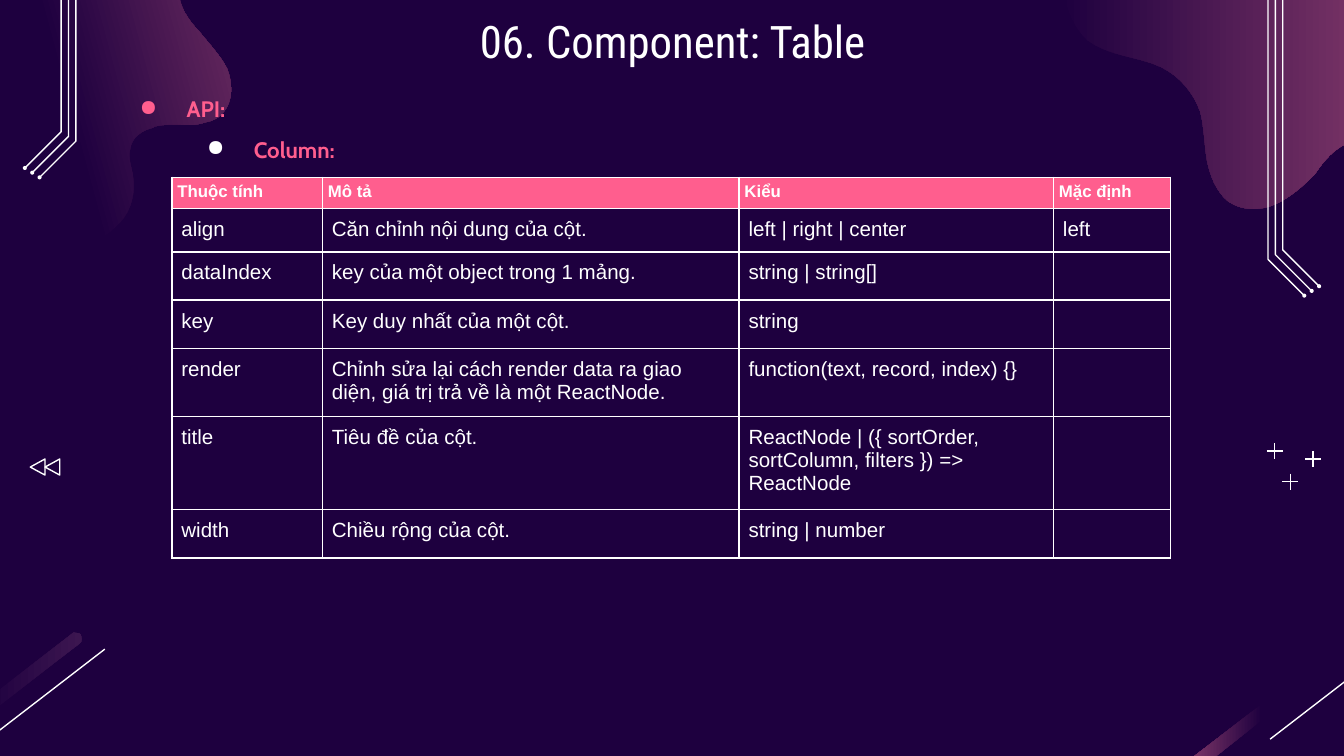
from lxml.etree import SubElement
from pptx import Presentation
from pptx.dml.color import RGBColor
from pptx.enum.shapes import MSO_CONNECTOR, MSO_SHAPE
from pptx.enum.text import MSO_ANCHOR, PP_ALIGN
from pptx.oxml.ns import qn
from pptx.util import Inches, Pt

WHITE, PINK, NIGHT, PLUM = "FFFFFF", "FF5E8E", "1E003F", "A64D79"
COLUMNS = 1000
LEFT_BLOB = [
    (48, 190), (74, 183), (86, 169), (90, 165), (98, 156), (101, 143), (99, 131),
    (98, 124), (95, 117), (97, 111), (98, 102), (106, 97), (114, 95),
    (115, 94), (115, 94), (116, 94), (124, 92), (133, 93), (142, 93),
    (146, 93), (150, 92), (153, 91), (158, 90), (163, 88), (166, 84),
    (174, 75), (173, 61), (169, 51), (164, 41), (155, 32), (148, 23),
    (140, 15), (133, 4), (133, -7), (133, -16), (136, -25), (143, -31),
    (147, -35), (153, -38), (159, -39), (168, -42), (179, -42), (190, -41),
    (201, -41), (212, -40), (223, -42), (225, -43), (226, -43), (228, -43),
    (237, -46), (246, -51), (252, -58), (259, -66), (261, -78), (258, -87),
    (256, -105), (244, -125), (233, -134), (215, -150), (190, -155), (167, -151),
    (166, -150), (165, -150), (164, -150), (129, -140), (103, -110), (70, -95),
    (65, -93), (59, -91), (54, -90), (22, -81), (-13, -85), (-47, -82),
    (-62, -81), (-77, -78), (-91, -74), (-104, -71), (-116, -67), (-128, -61),
    (-145, -54), (-162, -44), (-174, -30), (-186, -17), (-195, 2), (-194, 22),
    (-193, 46), (-176, 68), (-156, 80), (-135, 93), (-112, 97), (-88, 99),
    (-74, 101), (-60, 101), (-46, 106), (-32, 110), (-19, 119), (-13, 133),
    (-8, 144), (-8, 155), (-3, 166), (6, 184), (29, 195), (47, 190)]
RIGHT_BLOB = [
    (1125, 38), (1125, 13), (1118, -13), (1105, -35), (1094, -54), (1078, -70), (1058, -77),
    (1036, -85), (1012, -81), (989, -84), (967, -87), (945, -97), (929, -113),
    (918, -123), (909, -135), (897, -141), (883, -148), (867, -146), (852, -143),
    (840, -140), (828, -136), (819, -129), (803, -117), (796, -97), (793, -78),
    (790, -65), (789, -51), (789, -38), (789, -31), (789, -24), (790, -18),
    (791, 0), (796, 18), (809, 30), (825, 42), (847, 42), (864, 50),
    (878, 57), (888, 69), (893, 83), (896, 94), (896, 107), (898, 119),
    (900, 130), (905, 143), (914, 150), (924, 157), (938, 157), (949, 152),
    (960, 147), (969, 139), (978, 130), (983, 123), (988, 116), (995, 111),
    (1002, 106), (1010, 103), (1018, 106), (1033, 110), (1038, 130), (1052, 138),
    (1085, 157), (1108, 112), (1117, 88), (1122, 72), (1125, 55), (1125, 38)]
BAR = [(56, 471), (57, 471), (59, 471), (60, 472), (61, 475), (61, 478), (59, 479),
       (12, 515), (-34, 552), (-81, 588), (-84, 589), (-87, 589), (-88, 587),
       (-90, 585), (-90, 582), (-87, 580), (-40, 544), (6, 508), (53, 472),
       (54, 471), (55, 470), (56, 471)]
ROWS = [
    ("Thuộc tính", "Mô tả", "Kiểu", "Mặc định"),
    ("align", "Căn chỉnh nội dung của cột.", "left | right | center", "left"),
    ("dataIndex", "key của một object trong 1 mảng.", "string | string[]", ""),
    ("key", "Key duy nhất của một cột.", "string", ""),
    ("render", "Chỉnh sửa lại cách render data ra giao diện, giá trị trả về là một ReactNode.",
     "function(text, record, index) {}", ""),
    ("title", "Tiêu đề của cột.", "ReactNode | ({ sortOrder, sortColumn, filters }) => ReactNode", ""),
    ("width", "Chiều rộng của cột.", "string | number", "")]
COL_WIDTHS = (112, 310, 234, 87)
ROW_HEIGHTS = (22, 31, 36, 36, 48, 65, 36)


def grid(*cells):
    """Turn grid steps, a thousandth of the slide width each, into lengths."""
    return [round(Inches(10) * n / COLUMNS) for n in cells]


def color(hex_text):
    """Return the colour for a hex string."""
    return RGBColor.from_string(hex_text)


def add_run(p, text, size, font, hex_text, bold=False):
    """Add one formatted run to a paragraph."""
    r = p.add_run()
    r.text = text
    r.font.size, r.font.name, r.font.bold = Pt(size), font, bold
    r.font.color.rgb = color(hex_text)


def add_textbox(s, *box):
    """Add a wrapping text box and return its text frame."""
    tf = s.shapes.add_textbox(*grid(*box)).text_frame
    tf.word_wrap = True
    tf.margin_left = tf.margin_right = tf.margin_top = tf.margin_bottom = Inches(0.1)
    return tf


def add_bullet(p, text, level, bullet_hex):
    """Fill a paragraph as a bulleted heading of the given level."""
    pPr = p._p.get_or_add_pPr()
    pPr.set("marL", str(Inches(0.5 * (level + 1))))
    pPr.set("indent", str(Inches(-0.35)))
    SubElement(SubElement(pPr, qn("a:buClr")), qn("a:srgbClr"), val=bullet_hex)
    SubElement(pPr, qn("a:buChar"), char="●")
    p.level, p.line_spacing = level, 1.5
    add_run(p, text, 12, "Cabin", PINK, True)


def add_line(s, x1, y1, x2, y2):
    """Draw a thin white line."""
    line = s.shapes.add_connector(MSO_CONNECTOR.STRAIGHT, *grid(x1, y1, x2, y2))
    line.line.color.rgb, line.line.width = color(WHITE), Pt(0.75)
    SubElement(line._element.spPr, qn("a:effectLst"))


def outline(shape):
    """Leave a shape unfilled with a thin white line."""
    shape.shadow.inherit = False
    shape.fill.background()
    shape.line.color.rgb, shape.line.width = color(WHITE), Pt(0.75)


def add_path(s, points, close):
    """Draw straight segments through grid points."""
    builder = s.shapes.build_freeform(*grid(*points[0]))
    builder.add_line_segments([grid(*pt) for pt in points[1:]], close=close)
    return builder.convert_to_shape()


def bezier(knots, steps=8):
    """Sample a chain of cubic curves."""
    points = [knots[0]]
    for i in range(0, len(knots) - 1, 3):
        for t in (n / steps for n in range(1, steps + 1)):
            weights = ((1 - t) ** 3, 3 * t * (1 - t) ** 2, 3 * t * t * (1 - t), t ** 3)
            points.append(tuple(sum(w * k[axis] for w, k in zip(weights, knots[i:i + 4]))
                                for axis in (0, 1)))
    return points


def add_blob(s, knots, angle, start=0.5, end_hex=PLUM):
    """Draw a curved outline that fades out of the background colour."""
    shape = add_path(s, bezier(knots), True)
    shape.shadow.inherit = False
    shape.line.fill.background()
    shape.fill.gradient()
    shape.fill.gradient_angle = angle
    for stop, position, hex_text in zip(shape.fill.gradient_stops, (start, 1), (NIGHT, end_hex)):
        stop.position, stop.color.rgb = position, color(hex_text)


def add_rail(s, x, elbow, side):
    """Draw a vertical rail with a slanted foot that ends in a dot."""
    foot = (x + 27 * side, elbow + 27)
    outline(add_path(s, [(x, 0), (x, elbow), foot], False))
    dot = s.shapes.add_shape(MSO_SHAPE.OVAL, *grid(foot[0] - 1.5, foot[1] - 1.5, 3, 3))
    dot.shadow.inherit = False
    dot.fill.solid()
    dot.fill.fore_color.rgb = color(WHITE)
    dot.line.fill.background()


def add_decor(s):
    """Draw the blobs, bars, rails, pluses and arrows around the content."""
    add_blob(s, LEFT_BLOB, 15)
    add_blob(s, RIGHT_BLOB, 0, 0)
    add_blob(s, BAR, 0, 0.5, "3C1650")
    add_blob(s, [(x + 953, y) for x, y in BAR], 180)
    for x in (78, 1032):
        add_line(s, x, 483, x - 87, 550)
    for i in range(3):
        add_rail(s, 954.5 - 5.5 * i, 186 + 3.5 * i, 1)
        add_rail(s, 45.5 + 5.5 * i, 98 + 3.5 * i, -1)
    for x, y in ((960, 358.5), (977, 341.5), (948.5, 335.5)):
        add_line(s, x - 6, y, x + 6, y)
        add_line(s, x, y - 6, x, y + 6)
    for x in (22, 33):
        arrow = s.shapes.add_shape(MSO_SHAPE.ISOSCELES_TRIANGLE, *grid(x, 342, 12, 11))
        arrow.rotation = 270
        outline(arrow)


def style_cell(cell, text, header):
    """Write one table cell with white borders."""
    tcPr = cell._tc.get_or_add_tcPr()
    for side in ("a:lnL", "a:lnR", "a:lnT", "a:lnB"):
        ln = SubElement(tcPr, qn(side), w=str(Pt(1)))
        SubElement(SubElement(ln, qn("a:solidFill")), qn("a:srgbClr"), val=WHITE)
    cell.fill.background()
    if header:
        cell.fill.solid()
        cell.fill.fore_color.rgb = color(PINK)
    margin = Inches(0.04 if header else 0.07)
    cell.margin_left = cell.margin_right = cell.margin_top = cell.margin_bottom = margin
    cell.vertical_anchor = MSO_ANCHOR.TOP
    p = cell.text_frame.paragraphs[0]
    if text:
        add_run(p, text, 9 if header else 11, "Arial", WHITE, header)
    else:
        p._p.get_or_add_endParaRPr().set("sz", "1100")


def add_api_table(s):
    """Add the table of column properties."""
    box = grid(128, 132, sum(COL_WIDTHS), sum(ROW_HEIGHTS))
    table = s.shapes.add_table(len(ROWS), len(COL_WIDTHS), *box).table
    table.first_row = table.horz_banding = False
    for column, width in zip(table.columns, grid(*COL_WIDTHS)):
        column.width = width
    for i, (row, height) in enumerate(zip(table.rows, grid(*ROW_HEIGHTS))):
        row.height = height
        for cell, text in zip(row.cells, ROWS[i]):
            style_cell(cell, text, i == 0)


def main():
    """Build and save the slide."""
    prs = Presentation()
    prs.slide_width, prs.slide_height = Inches(10), Inches(10) * 9 // 16
    s = prs.slides.add_slide(prs.slide_layouts[6])
    s.background.fill.solid()
    s.background.fill.fore_color.rgb = color(NIGHT)
    add_decor(s)
    tf = add_textbox(s, 79, 51, 812, 73)
    add_bullet(tf.paragraphs[0], "API:", 0, PINK)
    add_bullet(tf.add_paragraph(), "Column:", 1, WHITE)
    p = add_textbox(s, 79, 0, 843, 63).paragraphs[0]
    p.alignment = PP_ALIGN.CENTER
    add_run(p, "06. Component: Table", 24, "Roboto Condensed", WHITE)
    add_api_table(s)
    prs.save("out.pptx")


if __name__ == "__main__":
    main()
